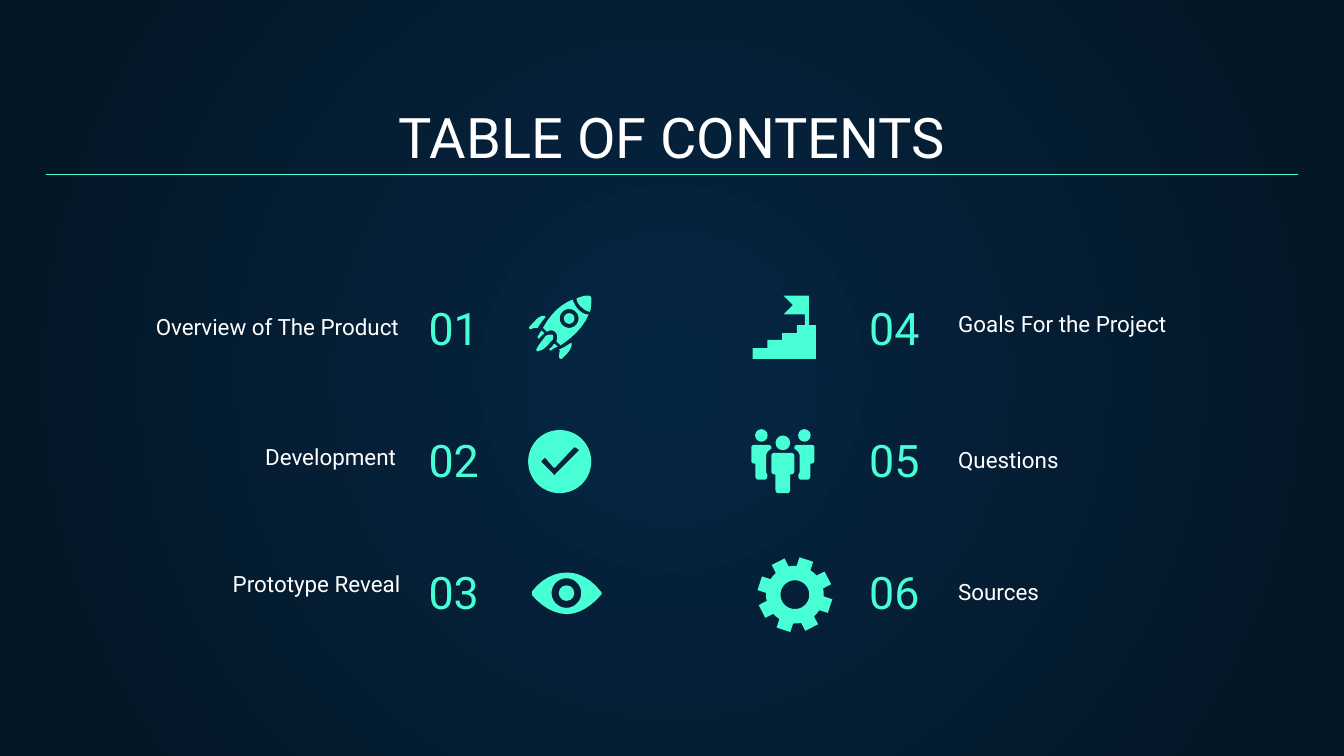
from math import cos, pi, radians, sin

from lxml.etree import SubElement
from pptx import Presentation
from pptx.dml.color import RGBColor
from pptx.enum.shapes import MSO_CONNECTOR, MSO_SHAPE
from pptx.enum.text import MSO_ANCHOR, MSO_AUTO_SIZE, PP_ALIGN
from pptx.oxml.ns import qn
from pptx.util import Pt

WHITE = RGBColor(0xFF, 0xFF, 0xFF)
MINT = RGBColor(0x48, 0xFF, 0xD5)
NAVY = RGBColor(0x05, 0x26, 0x43)
MIDNIGHT = RGBColor(0x04, 0x15, 0x23)
UNIT = 0.72

ROCKET = [
    "M 403 246 C 401 248 401 250 400 250 C 400 251 400 252 401 252 C 402 251 403 250 404 249 L 405 248 Z",
    "M 413 256 L 412 256 C 411 258 410 259 408 260 L 409 260 C 409 260 410 261 410 261 C 411 260 412 259 415 258 Z",
    "M 410 249 C 409 249 407 249 406 250 C 402 255 400 258 399 260 C 399 261 400 262 401 261"
    " C 403 261 406 259 410 254 C 412 253 412 250 411 249 Z",
    "M 405 235 C 403 235 400 236 398 239 L 394 243 C 393 244 394 245 395 245"
    " C 397 244 398 244 400 244 C 402 241 404 238 406 236 Z",
    "M 425 255 C 422 257 419 259 416 260 C 417 261 416 262 416 265 C 416 267 417 267 418 267"
    " L 422 263 C 425 260 426 256 425 255 Z",
    "M 437 220 C 434 220 432 221 429 222 C 429 224 430 226 432 228 C 434 230 437 232 439 232"
    " C 440 229 440 225 440 222 C 440 220 438 220 437 220 Z",
]
ROCKET_HULL = (
    "M 426 223 C 418 226 410 233 404 244 L 407 247 C 408 246 411 245 413 247 C 415 249 415 251 414 254"
    " L 417 257 C 425 252 434 244 438 234 C 435 234 433 233 430 230 C 428 228 427 225 426 223 Z"
)
CHECK = (
    "M 428 333 L 430 334 C 431 335 431 335 430 336 L 413 353 C 413 354 412 354 412 353"
    " L 403 344 C 403 343 403 343 403 343 L 405 341 C 405 341 406 341 406 341"
    " L 412 348 C 412 348 413 348 413 348 L 427 333 Z"
)
EYE = (
    "M 422 426 C 412 426 403 431 396 440 C 396 441 396 442 396 443 C 403 451 412 457 422 457"
    " C 431 457 440 451 447 443 C 448 442 448 441 447 440 C 440 431 431 426 422 426 Z"
)
FLAG_STEPS = (
    "M 583 220 L 590 227 L 583 234 L 599 234 L 599 242 L 593 242 L 593 248 L 582 248 L 582 253"
    " L 571 253 L 571 259 L 560 259 L 560 267 L 607 267 L 607 242 L 602 242 L 602 220 Z"
)
SIDE_BODY = (
    "M 561 331 C 560 331 559 332 559 333 L 559 343 C 559 344 560 345 561 345 L 562 345 L 562 354"
    " C 562 356 563 357 564 357 L 569 357 C 570 357 571 356 571 354 C 571 353 570 352 570 351"
    " L 570 339 C 570 337 572 335 574 334 L 574 333 C 574 332 573 331 571 331 Z"
)
FRONT_BODY = (
    "M 576 337 C 575 337 574 338 574 339 L 574 351 C 574 352 575 353 576 353 L 577 353 L 577 364"
    " C 577 366 578 367 579 367 L 586 367 C 587 367 588 366 588 364 L 588 353 L 589 353"
    " C 590 353 591 352 591 351 L 591 339 C 591 338 590 337 589 337 Z"
)


def outline(commands, steps=6):
    """Turn a drawing string into points, sampling its Bézier curves."""
    points = []
    for command in commands.replace("Z", "").replace("M", "|").replace("L", "|").replace("C", "|").split("|")[1:]:
        numbers = [float(number) for number in command.split()]
        pairs = list(zip(numbers[::2], numbers[1::2]))
        if len(pairs) == 1:
            points += pairs
            continue
        corners = [points[-1], *pairs]
        for step in range(1, steps + 1):
            t = step / steps
            weights = ((1 - t) ** 3, 3 * t * (1 - t) ** 2, 3 * t * t * (1 - t), t ** 3)
            points.append(tuple(sum(w * corner[axis] for w, corner in zip(weights, corners)) for axis in (0, 1)))
    return points


def circle(x, y, radius, count=48):
    """Return points around a circle."""
    angles = [2 * pi * index / count for index in range(count)]
    return [(x + radius * cos(angle), y + radius * sin(angle)) for angle in angles]


def gear(x, y, teeth=8):
    """Return the toothed rim of a gear."""
    points = []
    for tooth in range(teeth):
        for offset, radius in ((-14.5, 21.5), (-11, 28), (11, 28), (14.5, 21.5), (22.5, 21.5)):
            angle = radians(18 + 360 / teeth * tooth + offset)
            points.append((x + radius * cos(angle), y + radius * sin(angle)))
    return points


class ContentsSlide:
    """Hold the style and the current slide."""

    font = "Roboto"

    def __init__(self, presentation):
        self.slide = presentation.slides.add_slide(presentation.slide_layouts[6])
        self.shapes = self.slide.shapes

    def background(self, inner, outer):
        fill = self.slide.background.fill
        fill.gradient()
        for stop, color, position in zip(fill.gradient_stops, (inner, outer), (0, 1)):
            stop.color.rgb = color
            stop.position = position
        gradient = self.slide.element.find(".//" + qn("a:gradFill"))
        gradient.remove(gradient.find(qn("a:lin")))
        circle_path = SubElement(gradient, qn("a:path"), path="circle")
        SubElement(circle_path, qn("a:fillToRect"), l="50000", t="50000", r="50000", b="50000")

    def text(self, words, left, top, width, height, size, color, align):
        box = self.shapes.add_textbox(Pt(left), Pt(top), Pt(width), Pt(height))
        frame = box.text_frame
        frame_format = {"word_wrap": True, "auto_size": MSO_AUTO_SIZE.NONE, "vertical_anchor": MSO_ANCHOR.BOTTOM}
        frame_format |= {f"margin_{side}": Pt(7.2) for side in ("left", "top", "right", "bottom")}
        paragraph = frame.paragraphs[0]
        paragraph.alignment = align
        run = paragraph.add_run()
        run.text = words
        for target, values in ((frame, frame_format), (run.font, {"name": self.font, "size": Pt(size)})):
            for name, value in values.items():
                setattr(target, name, value)
        run.font.color.rgb = color

    def line(self, left, right, y):
        connector = self.shapes.add_connector(MSO_CONNECTOR.STRAIGHT, Pt(left), Pt(y), Pt(right), Pt(y))
        connector.line.color.rgb = MINT
        connector.line.width = Pt(0.75)
        SubElement(connector._element.spPr, qn("a:effectLst"))

    def paint(self, shape):
        shape.shadow.inherit = False
        shape.fill.solid()
        shape.fill.fore_color.rgb = MINT
        shape.line.fill.background()

    def freeform(self, *contours):
        scaled = [[(Pt(x * UNIT), Pt(y * UNIT)) for x, y in contour] for contour in contours]
        builder = self.shapes.build_freeform(*scaled[0][0], scale=1.0)
        for index, points in enumerate(scaled):
            if index:
                builder.move_to(*points[0])
            builder.add_line_segments(points[1:], close=True)
        self.paint(builder.convert_to_shape())

    def dot(self, x, y, radius):
        edges = [Pt(value * UNIT) for value in (x - radius, y - radius, 2 * radius, 2 * radius)]
        self.paint(self.shapes.add_shape(MSO_SHAPE.OVAL, *edges))


def main():
    presentation = Presentation()
    presentation.slide_width, presentation.slide_height = Pt(720), Pt(405)
    page = ContentsSlide(presentation)
    page.background(NAVY, MIDNIGHT)
    page.text("TABLE OF CONTENTS", 24.5, 50.4, 671, 47.5, 30, WHITE, PP_ALIGN.CENTER)
    columns = [
        (222.5, PP_ALIGN.LEFT, PP_ALIGN.RIGHT, [
            ("Overview of The Product", 57.6, 174.2), ("Development ", 59, 244), ("Prototype Reveal", 58.3, 311.8)]),
        (406.8, PP_ALIGN.RIGHT, PP_ALIGN.LEFT, [
            ("Goals For the Project", 506.2, 172.8), ("Questions", 506.2, 245.5), ("Sources", 506.2, 316)]),
    ]
    for column, (number_left, number_align, label_align, topics) in enumerate(columns):
        for row, (label, left, top) in enumerate(topics):
            number = f"{column * 3 + row + 1:02d}"
            page.text(number, number_left, 149.8 + 70.56 * row, 92.9, 47.5, 24, MINT, number_align)
            page.text(label, left, top, 163.4, 15.1, 12, WHITE, label_align)
    page.line(24.5, 695.5, 93.6)

    for part in ROCKET:
        page.freeform(outline(part))
    page.freeform(outline(ROCKET_HULL), circle(423.5, 237, 7))
    page.dot(423.5, 237, 4)
    page.freeform(circle(416.5, 343.5, 23.5), outline(CHECK))
    page.freeform(outline(EYE), circle(421.5, 441.3, 11))
    page.dot(421.5, 441.3, 5.8)
    page.freeform(outline(FLAG_STEPS))
    side = outline(SIDE_BODY)
    for body in (side, [(1165 - x, y) for x, y in side], outline(FRONT_BODY)):
        page.freeform(body)
    for x, y, radius in ((566.5, 324, 4.7), (598.5, 324, 4.7), (582.5, 329.5, 5.5)):
        page.dot(x, y, radius)
    page.freeform(gear(591.5, 442.5), circle(591.5, 442.5, 10.7))
    presentation.save("out.pptx")


if __name__ == "__main__":
    main()
